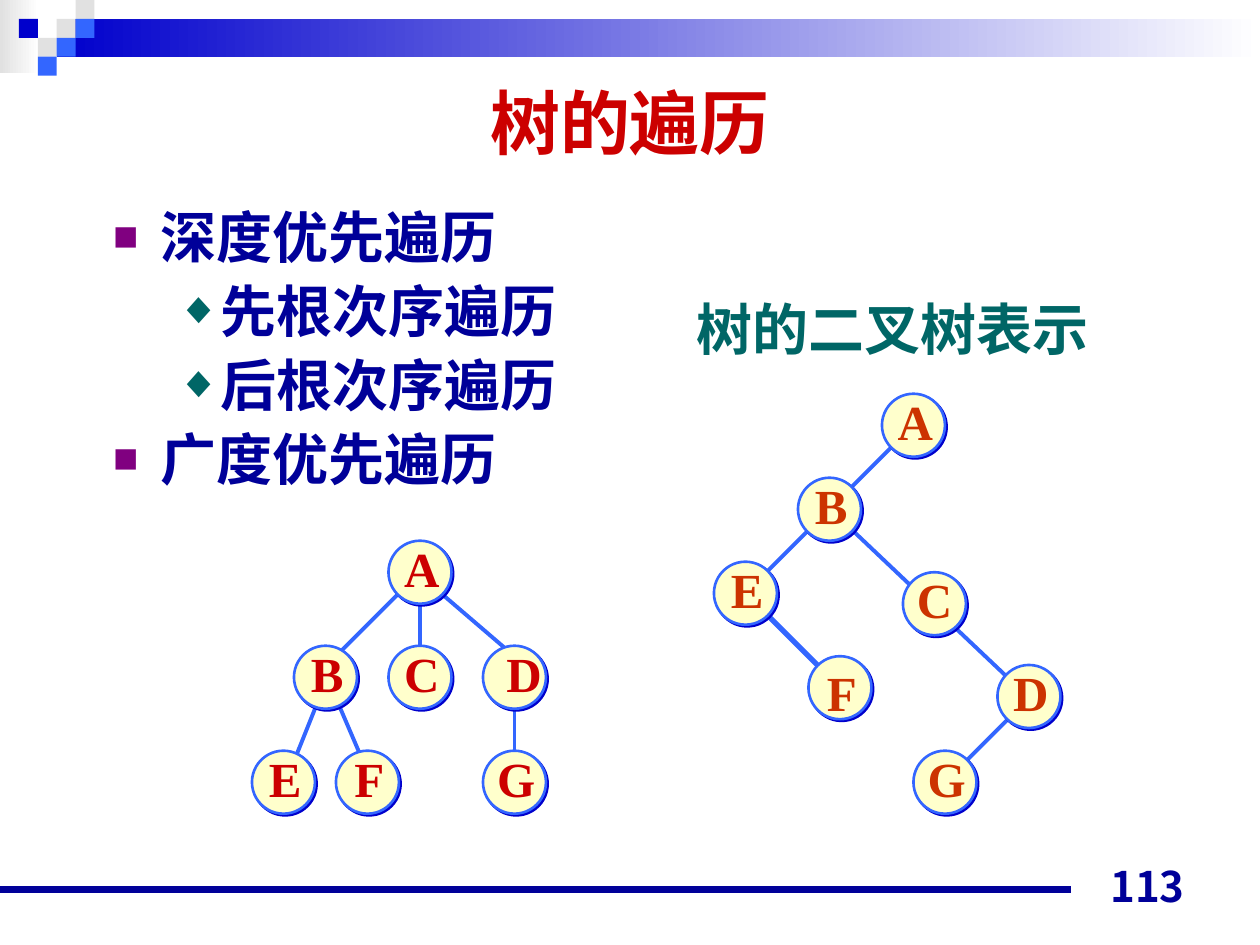
"""Build the tree traversal slide: outline, general tree and its binary form."""
from dataclasses import dataclass

from lxml import etree
from pptx import Presentation
from pptx.dml.color import RGBColor
from pptx.enum.shapes import MSO_CONNECTOR, MSO_SHAPE
from pptx.enum.text import MSO_ANCHOR, PP_ALIGN
from pptx.oxml.ns import qn
from pptx.util import Pt

STRAIGHT = MSO_CONNECTOR.STRAIGHT
RECTANGLE, OVAL = MSO_SHAPE.RECTANGLE, MSO_SHAPE.OVAL
TOP, MIDDLE, BOTTOM = MSO_ANCHOR.TOP, MSO_ANCHOR.MIDDLE, MSO_ANCHOR.BOTTOM
LEFT, CENTER, RIGHT = PP_ALIGN.LEFT, PP_ALIGN.CENTER, PP_ALIGN.RIGHT

WHITE = RGBColor(0xFF, 0xFF, 0xFF)
GREY = RGBColor(0xE1, 0xE1, 0xE1)
BLUE = RGBColor(0x33, 0x66, 0xFF)
DEEP_BLUE = RGBColor(0x00, 0x00, 0xCC)
NAVY = RGBColor(0x00, 0x00, 0x99)
RED = RGBColor(0xCC, 0x00, 0x00)
RUST = RGBColor(0xCC, 0x33, 0x00)
TEAL = RGBColor(0x00, 0x66, 0x66)
PURPLE = RGBColor(0x80, 0x00, 0x80)
CREAM = RGBColor(0xFF, 0xFF, 0xCC)

SANS, SERIF, CJK = "Arial", "Times New Roman", "Noto Sans CJK JP"
TILE = 10.8
NODE_SIZE = 36
LINE_PITCH = 38.3
SHADOW_OFFSET = 1.4


@dataclass(frozen=True)
class Node:
    label: str
    left: float
    top: float
    shift: float = 1
    drop: float = -5


@dataclass(frozen=True)
class Edge:
    x1: float
    y1: float
    x2: float
    y2: float
    weight: float = 2.25


@dataclass(frozen=True)
class Bullet:
    char: str
    color: RGBColor
    percent: int
    margin: float
    hang: float
    level: int


@dataclass(frozen=True)
class Style:
    font: str
    size: float
    color: RGBColor
    align: PP_ALIGN = LEFT
    anchor: MSO_ANCHOR = TOP
    wrap: bool = True
    pitch: float | None = None


SQUARE = Bullet("■", PURPLE, 75, 27, 27, 0)
DIAMOND = Bullet("◆", TEAL, 80, 58.5, 22.5, 1)
OUTLINE = [
    ("深度优先遍历", SQUARE),
    ("先根次序遍历", DIAMOND),
    ("后根次序遍历", DIAMOND),
    ("广度优先遍历", SQUARE),
]
TILES = [(3, 1, GREY), (4, 0, GREY), (4, 1, BLUE), (2, 2, GREY),
         (1, 1, DEEP_BLUE), (3, 2, BLUE), (2, 3, BLUE)]
GENERAL_EDGES = [
    Edge(228, 339, 192, 375), Edge(240, 345, 240, 375), Edge(252, 339, 294, 375),
    Edge(180, 405, 168, 435), Edge(192, 399, 210, 441), Edge(294, 399, 294, 435),
]
GENERAL_NODES = [
    Node("A", 222, 309), Node("B", 168, 369), Node("C", 222, 369),
    Node("D", 276, 369, shift=5.5), Node("E", 144, 429), Node("F", 192, 429),
    Node("G", 276, 429),
]
BINARY_EDGES = [
    Edge(516, 249, 432, 333), Edge(486, 302, 582, 393),
    Edge(432, 345, 468, 381, weight=3), Edge(582, 405, 546, 441),
]
BINARY_NODES = [
    Node("A", 504, 225), Node("B", 456, 273), Node("C", 516, 327, shift=0),
    Node("D", 570, 380), Node("E", 408, 321), Node("F", 462, 375, drop=0),
    Node("G", 522, 429),
]


def add_block(page, left: float, top: float, width: float, height: float,
              color: RGBColor, fade: bool = False) -> None:
    """Draw a borderless rectangle, optionally fading to white on the right."""
    block = page.shapes.add_shape(RECTANGLE, Pt(left), Pt(top), Pt(width), Pt(height))
    block.shadow.inherit = False
    block.line.fill.background()
    if fade:
        block.fill.gradient()
        block.fill.gradient_angle = 0
        for stop, tint in zip(block.fill.gradient_stops, (color, WHITE)):
            stop.color.rgb = tint
    else:
        block.fill.solid()
        block.fill.fore_color.rgb = color


def add_edge(page, edge: Edge, color: RGBColor) -> None:
    """Draw a straight line without a shadow."""
    line = page.shapes.add_connector(
        STRAIGHT, Pt(edge.x1), Pt(edge.y1), Pt(edge.x2), Pt(edge.y2))
    line.line.color.rgb = color
    line.line.width = Pt(edge.weight)
    etree.SubElement(line._element.spPr, qn("a:effectLst"))


def set_bullet(para, bullet: Bullet) -> None:
    """Give a paragraph its level, hanging indent and bullet."""
    para.level = bullet.level
    props = para._p.get_or_add_pPr()
    props.set("marL", str(Pt(bullet.margin)))
    props.set("indent", str(-Pt(bullet.hang)))
    color = etree.SubElement(props, qn("a:buClr"))
    etree.SubElement(color, qn("a:srgbClr"), val=str(bullet.color))
    etree.SubElement(props, qn("a:buSzPct"), val=str(bullet.percent * 1000))
    etree.SubElement(props, qn("a:buFont"), typeface=SANS)
    etree.SubElement(props, qn("a:buChar"), char=bullet.char)


def add_text(page, left: float, top: float, width: float, height: float,
             lines: list[tuple[str, Bullet | None]], style: Style) -> None:
    """Draw a text box with one bold paragraph per line."""
    box = page.shapes.add_textbox(Pt(left), Pt(top), Pt(width), Pt(height))
    frame = box.text_frame
    frame.word_wrap = style.wrap
    frame.vertical_anchor = style.anchor
    for index, (text, bullet) in enumerate(lines):
        para = frame.add_paragraph() if index else frame.paragraphs[0]
        para.text = text
        para.alignment = style.align
        if style.pitch:
            para.line_spacing = Pt(style.pitch)
        if index:
            para.space_before = Pt(4)
        if bullet:
            set_bullet(para, bullet)
        para.font.name = style.font
        para.font.size = Pt(style.size)
        para.font.bold = True
        para.font.color.rgb = style.color
        defaults = para._p.pPr.find(qn("a:defRPr"))
        etree.SubElement(defaults, qn("a:ea"), typeface=CJK)


def add_node(page, node: Node, color: RGBColor) -> None:
    """Draw a tree node with a hard offset shadow and its letter."""
    circle = page.shapes.add_shape(
        OVAL, Pt(node.left), Pt(node.top), Pt(NODE_SIZE), Pt(NODE_SIZE))
    circle.fill.solid()
    circle.fill.fore_color.rgb = CREAM
    circle.line.color.rgb = BLUE
    circle.line.width = Pt(1.5)
    effects = etree.SubElement(circle._element.spPr, qn("a:effectLst"))
    shadow = etree.SubElement(effects, qn("a:outerShdw"), dist=str(Pt(SHADOW_OFFSET)),
                              dir="2700000", algn="ctr", rotWithShape="0")
    etree.SubElement(shadow, qn("a:srgbClr"), val=str(DEEP_BLUE))
    letter = Style(SERIF, 28, color, CENTER, MIDDLE, wrap=False)
    add_text(page, node.left + node.shift, node.top + node.drop, NODE_SIZE, 41,
             [(node.label, None)], letter)


def add_tree(page, edges: list[Edge], nodes: list[Node], color: RGBColor) -> None:
    """Draw the edges of a tree and then its nodes."""
    for edge in edges:
        add_edge(page, edge, BLUE)
    for node in nodes:
        add_node(page, node, color)


def main() -> None:
    """Assemble and save the slide."""
    deck = Presentation()
    deck.slide_width, deck.slide_height = Pt(720), Pt(540)
    page = deck.slides.add_slide(deck.slide_layouts[6])
    add_block(page, 0, 0, 22.3, 41.8, GREY, fade=True)
    add_block(page, 3 * TILE, TILE, 720 - 3 * TILE, 2 * TILE, DEEP_BLUE, fade=True)
    for column, row, color in TILES:
        add_block(page, column * TILE, row * TILE, TILE, TILE, color)
    add_edge(page, Edge(0, 508.3, 612, 508.3, weight=4.5), NAVY)
    add_text(page, 391, 165, 246, 46, [("树的二叉树表示", None)],
             Style(SANS, 32, TEAL, pitch=LINE_PITCH))
    add_text(page, 36, 36, 648, 67, [("树的遍历", None)],
             Style(SANS, 40, RED, CENTER, MIDDLE))
    add_text(page, 57.6, 112, 648, 187, OUTLINE,
             Style(SANS, 32, NAVY, pitch=LINE_PITCH))
    add_tree(page, GENERAL_EDGES, GENERAL_NODES, RED)
    add_tree(page, BINARY_EDGES, BINARY_NODES, RUST)
    add_text(page, 516, 488, 168, 36, [("113", None)],
             Style(CJK, 24, NAVY, RIGHT, BOTTOM))
    deck.save("out.pptx")


if __name__ == "__main__":
    main()
